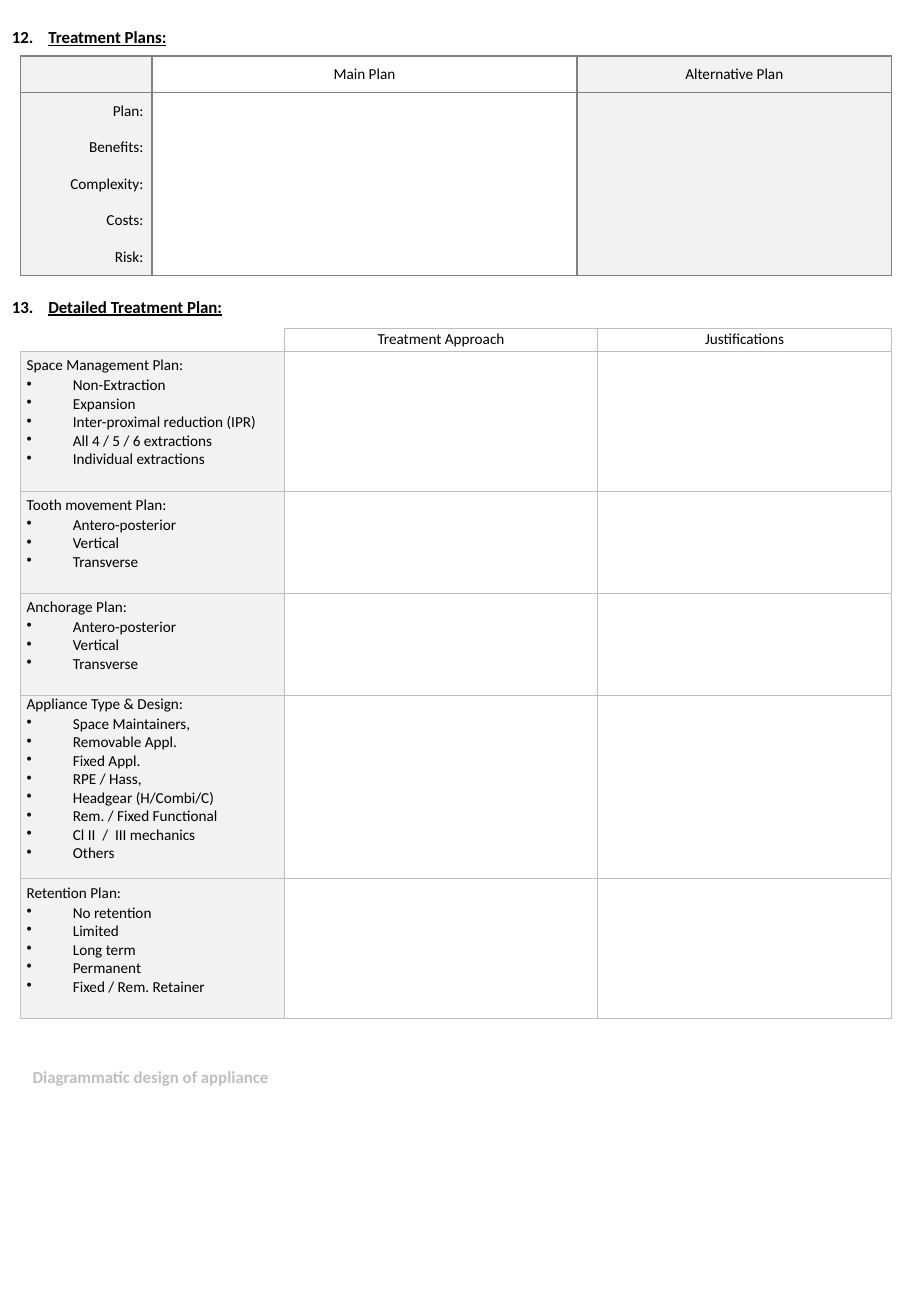
from pptx import Presentation
from pptx.dml.color import RGBColor
from pptx.enum import text
from pptx.oxml.xmlchemy import OxmlElement
from pptx.util import Inches, Pt

BLACK = RGBColor(0x00, 0x00, 0x00)
DARK_GRAY = RGBColor(0x80, 0x80, 0x80)
SILVER = RGBColor(0xBF, 0xBF, 0xBF)
PALE_GRAY = RGBColor(0xF2, 0xF2, 0xF2)
FONT = "Calibri"
LEFT, WIDTH = 0.17, 7.17
BULLET_INDENT = Inches(0.38)
CENTER, RIGHT = text.PP_ALIGN.CENTER, text.PP_ALIGN.RIGHT

presentation = Presentation()
presentation.slide_width = Inches(7.5)
presentation.slide_height = Inches(10.83)
slide = presentation.slides.add_slide(presentation.slide_layouts[6])


def add_text(paragraph, words, size=9, color=BLACK, bold=False, underline=False):
    run = paragraph.add_run()
    run.text = words
    run.font.name = FONT
    run.font.size = Pt(size)
    run.font.color.rgb = color
    run.font.bold = bold
    run.font.underline = underline


def format_cell(cell, edges, color, width, side_margin, shaded):
    """Draw the named edges (of L, R, T, B), hide the others, fill the cell."""
    cell.margin_left = cell.margin_right = Inches(side_margin)
    cell.margin_top = cell.margin_bottom = 0
    cell.vertical_anchor = text.MSO_ANCHOR.MIDDLE
    properties = cell._tc.get_or_add_tcPr()
    for edge in "LRTB":
        line = OxmlElement(f"a:ln{edge}")
        properties.append(line)
        if edge in edges:
            line.set("w", str(Pt(width)))
            fill = OxmlElement("a:solidFill")
            rgb = OxmlElement("a:srgbClr")
            rgb.set("val", str(color))
            fill.append(rgb)
            line.append(fill)
        else:
            line.append(OxmlElement("a:noFill"))
    if shaded:
        cell.fill.solid()
        cell.fill.fore_color.rgb = PALE_GRAY
    else:
        cell.fill.background()
    # Empty cells keep the small text size, so rows do not grow
    end = OxmlElement("a:endParaRPr")
    end.set("sz", "900")
    cell.text_frame.paragraphs[0]._p.append(end)


# Section headings and the caption of the drawing area
headings = [
    ("12.", "Treatment Plans:", 0, 0.17, 1.5, BLACK),
    ("13.", "Detailed Treatment Plan:", 0, 2.39, 1.97, BLACK),
    (None, "Diagrammatic design of appliance", LEFT, 8.73, 2.17, SILVER),
]
for number, heading, left, top, width, color in headings:
    box = slide.shapes.add_textbox(Inches(left), Inches(top), Inches(width), Inches(0.27))
    frame = box.text_frame
    frame.word_wrap = True
    frame.margin_right = 0
    paragraph = frame.paragraphs[0]
    if number:
        indent = paragraph._p.get_or_add_pPr()
        indent.set("marL", str(Inches(0.3)))
        indent.set("indent", str(-Inches(0.3)))
        add_text(paragraph, number + "\t", 10, color, bold=True)
    add_text(paragraph, heading, 10, color, bold=True, underline=bool(number))

# Both tables: top, column widths, row heights
tables = []
for top, columns, rows in [
    (0.46, [1.08, 3.5, 2.59], [1.81 / 6] * 6),
    (2.7, [2.17, 2.58, 2.42], [0.19, 1.15, 0.84, 0.84, 1.51, 1.15]),
]:
    table = slide.shapes.add_table(
        len(rows), len(columns), Inches(LEFT), Inches(top), Inches(WIDTH), Inches(sum(rows))
    ).table
    table.first_row = table.horz_banding = False
    for column, width in zip(table.columns, columns):
        column.width = Inches(width)
    for row, height in zip(table.rows, rows):
        row.height = Inches(height)
    tables.append(table)
plans, details = tables

# Treatment plans: ruled header, one open block below it
plan_labels = ["Plan:", "Benefits:", "Complexity:", "Costs:", "Risk:"]
plan_texts = [["", "Main Plan", "Alternative Plan"]] + [[label] for label in plan_labels]
last_row = len(plan_labels)
for row in range(last_row + 1):
    edges = "LR" + ("TB" if row == 0 else "T" if row == 1 else "B" if row == last_row else "")
    for column in range(3):
        format_cell(plans.cell(row, column), edges, DARK_GRAY, 1, 0.07, shaded=column != 1)
    for column, words in enumerate(plan_texts[row]):
        if words:
            paragraph = plans.cell(row, column).text_frame.paragraphs[0]
            paragraph.alignment = RIGHT if row else CENTER
            add_text(paragraph, words)

# Detailed treatment plan: full grid with an open top-left corner
directions = ["Antero-posterior", "Vertical", "Transverse"]
topics = [
    ("Space Management Plan:", ["Non-Extraction", "Expansion", "Inter-proximal reduction (IPR)",
                                "All 4 / 5 / 6 extractions", "Individual extractions"]),
    ("Tooth movement Plan:", directions),
    ("Anchorage Plan:", directions),
    ("Appliance Type & Design:", ["Space Maintainers,", "Removable Appl.", "Fixed Appl.",
                                  "RPE / Hass,", "Headgear (H/Combi/C)",
                                  "Rem. / Fixed Functional", "Cl II  /  III mechanics", "Others"]),
    ("Retention Plan:", ["No retention", "Limited", "Long term", "Permanent",
                         "Fixed / Rem. Retainer"]),
]
for row in range(len(topics) + 1):
    for column in range(3):
        edges = "RB" if row == column == 0 else "LRTB"
        format_cell(details.cell(row, column), edges, SILVER, 0.25, 0.05,
                    shaded=row > 0 and column == 0)
for column, words in enumerate(["Treatment Approach", "Justifications"], start=1):
    paragraph = details.cell(0, column).text_frame.paragraphs[0]
    paragraph.alignment = CENTER
    add_text(paragraph, words)

for row, (topic, options) in enumerate(topics, start=1):
    cell = details.cell(row, 0)
    cell.margin_bottom = Inches(0.14)
    paragraph = cell.text_frame.paragraphs[0]
    paragraph.space_after = Pt(1)
    add_text(paragraph, topic)
    for option in options:
        paragraph = cell.text_frame.add_paragraph()
        properties = paragraph._p.get_or_add_pPr()
        properties.set("marL", str(BULLET_INDENT))
        properties.set("indent", str(-BULLET_INDENT))
        bullet = OxmlElement("a:buChar")
        bullet.set("char", "•")
        properties.append(bullet)
        add_text(paragraph, option)

presentation.save("out.pptx")
